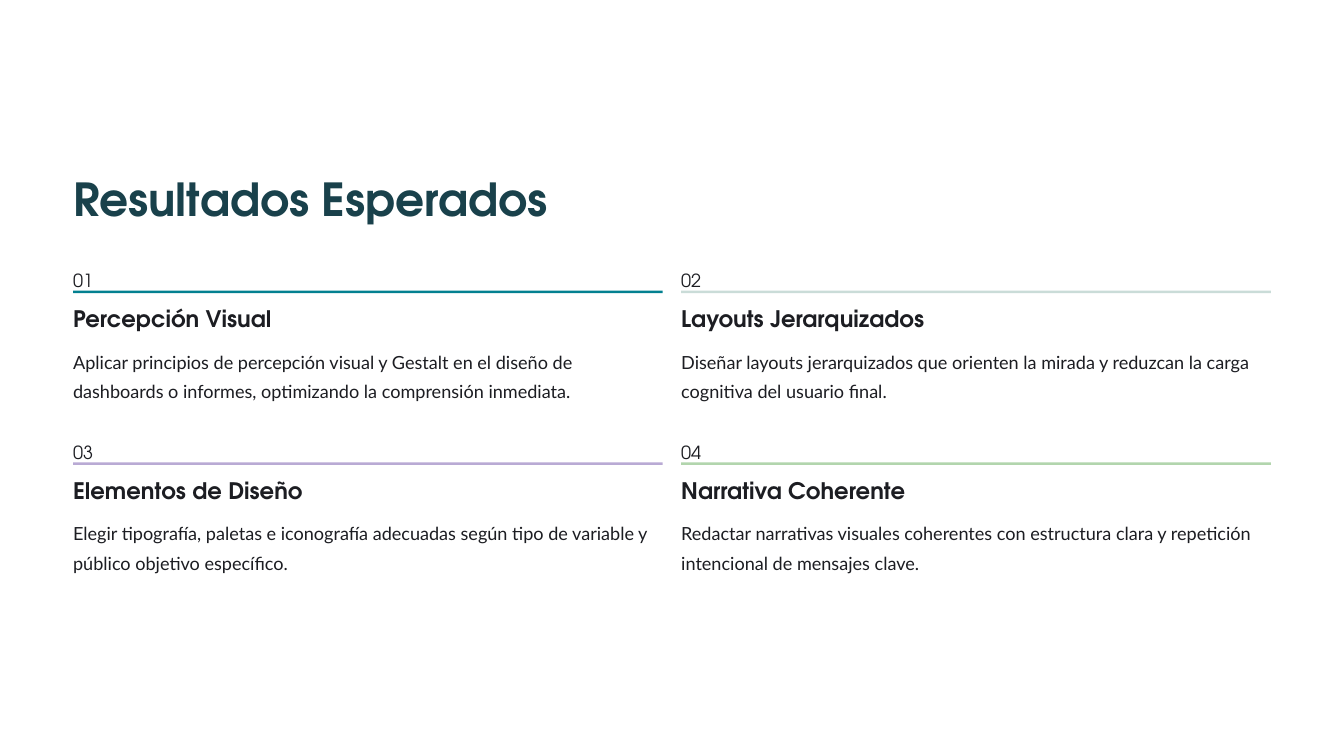
from dataclasses import dataclass

from pptx import Presentation
from pptx.dml.color import RGBColor
from pptx.enum.shapes import MSO_SHAPE
from pptx.enum.text import MSO_ANCHOR, MSO_AUTO_SIZE, PP_ALIGN
from pptx.util import Inches, Pt

RECTANGLE = MSO_SHAPE.RECTANGLE
TOP = MSO_ANCHOR.TOP
LEFT = PP_ALIGN.LEFT
NO_AUTOFIT = MSO_AUTO_SIZE.NONE
TITLE_ONLY_LAYOUT = 5


@dataclass(frozen=True)
class Theme:
    title_color: str = "19414B"
    text_color: str = "1C1D22"
    rule_colors: tuple = ("028090", "CADCD8", "B9AAD4", "B2D5AD")
    display_font: str = "TeX Gyre Adventor"
    body_font: str = "Lato"
    title_size: float = 39
    heading_size: float = 19.5
    body_size: float = 15.5


def write_text(shape, text, *, font, size, color, line_spacing, bold=False, wrap=False):
    """Put one formatted paragraph into a shape without margins."""
    frame = shape.text_frame
    frame.margin_left = frame.margin_top = frame.margin_right = frame.margin_bottom = 0
    frame.auto_size = NO_AUTOFIT
    frame.word_wrap = wrap
    frame.vertical_anchor = TOP
    frame.text = text
    paragraph = frame.paragraphs[0]
    paragraph.alignment = LEFT
    paragraph.line_spacing = Pt(line_spacing)
    paragraph.font.name = font
    paragraph.font.size = Pt(size)
    paragraph.font.bold = bold
    paragraph.font.color.rgb = RGBColor.from_string(color)


class SlideBuilder:
    def __init__(self, slide, theme):
        self.slide = slide
        self.theme = theme

    def title(self, text, left, top, width, height):
        shape = self.slide.shapes.title
        shape.left, shape.top = Inches(left), Inches(top)
        shape.width, shape.height = Inches(width), Inches(height)
        write_text(shape, text, font=self.theme.display_font, size=self.theme.title_size,
                   color=self.theme.title_color, line_spacing=48.5, bold=True)

    def text(self, text, left, top, width, height, **text_format):
        shape = self.slide.shapes.add_textbox(
            Inches(left), Inches(top), Inches(width), Inches(height))
        write_text(shape, text, color=self.theme.text_color, **text_format)

    def rule(self, color, left, top, width, height):
        shape = self.slide.shapes.add_shape(
            RECTANGLE, Inches(left), Inches(top), Inches(width), Inches(height))
        shape.shadow.inherit = False
        shape.fill.solid()
        shape.fill.fore_color.rgb = RGBColor.from_string(color)
        shape.line.fill.background()

    def card(self, number, heading, body, color, left, top, width):
        theme = self.theme
        self.text(number, left, top, 0.22, 0.27, font=theme.display_font,
                  size=theme.body_size, line_spacing=25)
        self.rule(color, left, top + 0.34, width, 0.03)
        self.text(heading, left, top + 0.5, 2.84, 0.34, font=theme.display_font,
                  size=theme.heading_size, line_spacing=24, bold=True)
        self.text(body, left, top + 0.97, width, 0.69, font=theme.body_font,
                  size=theme.body_size, line_spacing=25, wrap=True)


RESULTS = (
    ("Percepción Visual",
     "Aplicar principios de percepción visual y Gestalt en el diseño de dashboards "
     "o informes, optimizando la comprensión inmediata."),
    ("Layouts Jerarquizados",
     "Diseñar layouts jerarquizados que orienten la mirada y reduzcan la carga "
     "cognitiva del usuario final."),
    ("Elementos de Diseño",
     "Elegir tipografía, paletas e iconografía adecuadas según tipo de variable y "
     "público objetivo específico."),
    ("Narrativa Coherente",
     "Redactar narrativas visuales coherentes con estructura clara y repetición "
     "intencional de mensajes clave."),
)

# Card grid, in inches
GRID_LEFT, GRID_TOP = 0.87, 3.12
CARD_WIDTH, COLUMN_GAP, ROW_STEP = 7.02, 0.22, 2.045


def main():
    presentation = Presentation()
    presentation.slide_width, presentation.slide_height = Inches(16), Inches(9)
    slide = presentation.slides.add_slide(presentation.slide_layouts[TITLE_ONLY_LAYOUT])
    theme = Theme()
    builder = SlideBuilder(slide, theme)

    # Title
    builder.title("Resultados Esperados", GRID_LEFT, 2.01, 5.68, 0.68)

    # Two columns of numbered results
    for index, ((heading, body), color) in enumerate(zip(RESULTS, theme.rule_colors)):
        row, column = divmod(index, 2)
        builder.card(f"{index + 1:02d}", heading, body, color,
                     GRID_LEFT + column * (CARD_WIDTH + COLUMN_GAP),
                     GRID_TOP + row * ROW_STEP, CARD_WIDTH)

    presentation.save("out.pptx")


if __name__ == "__main__":
    main()
